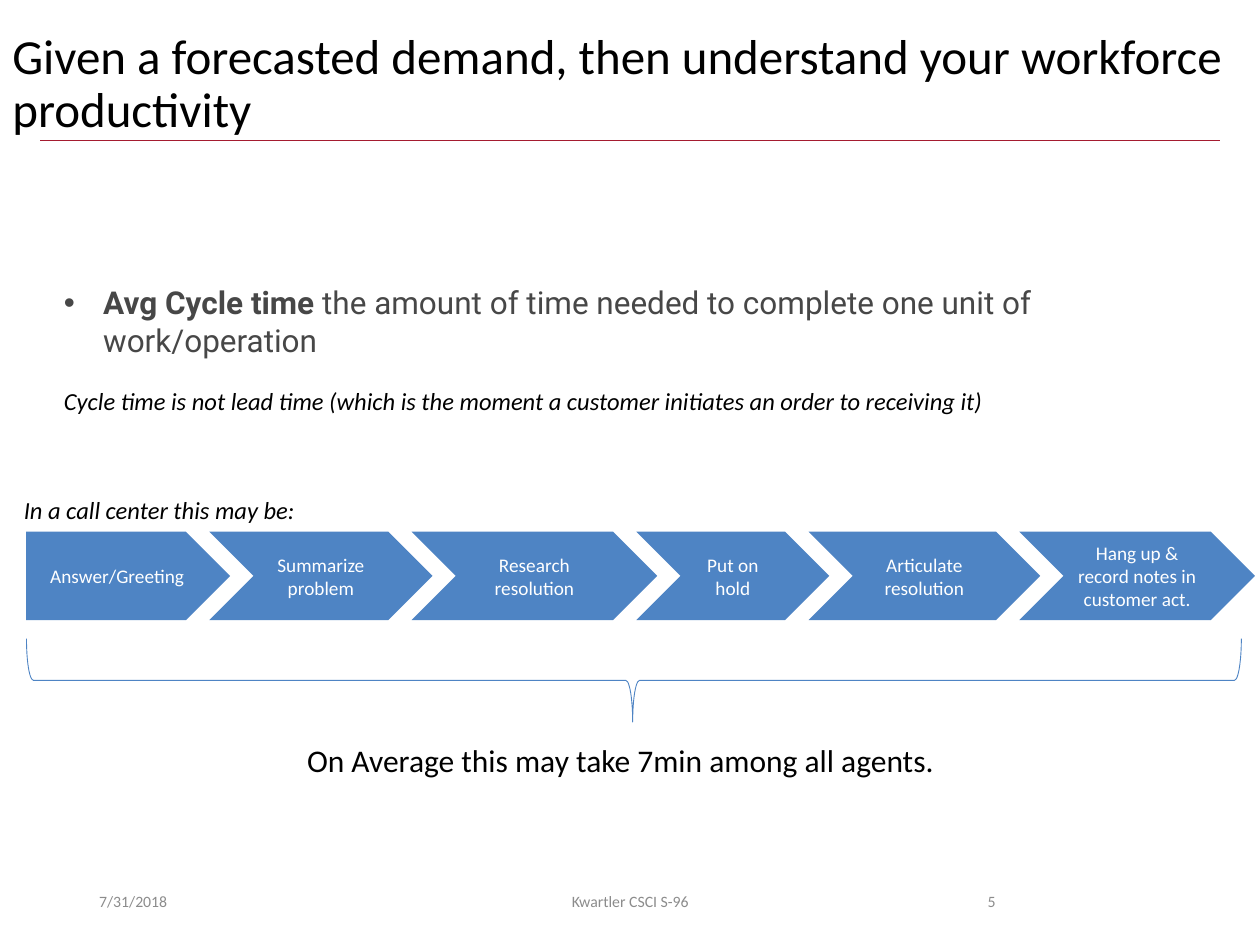
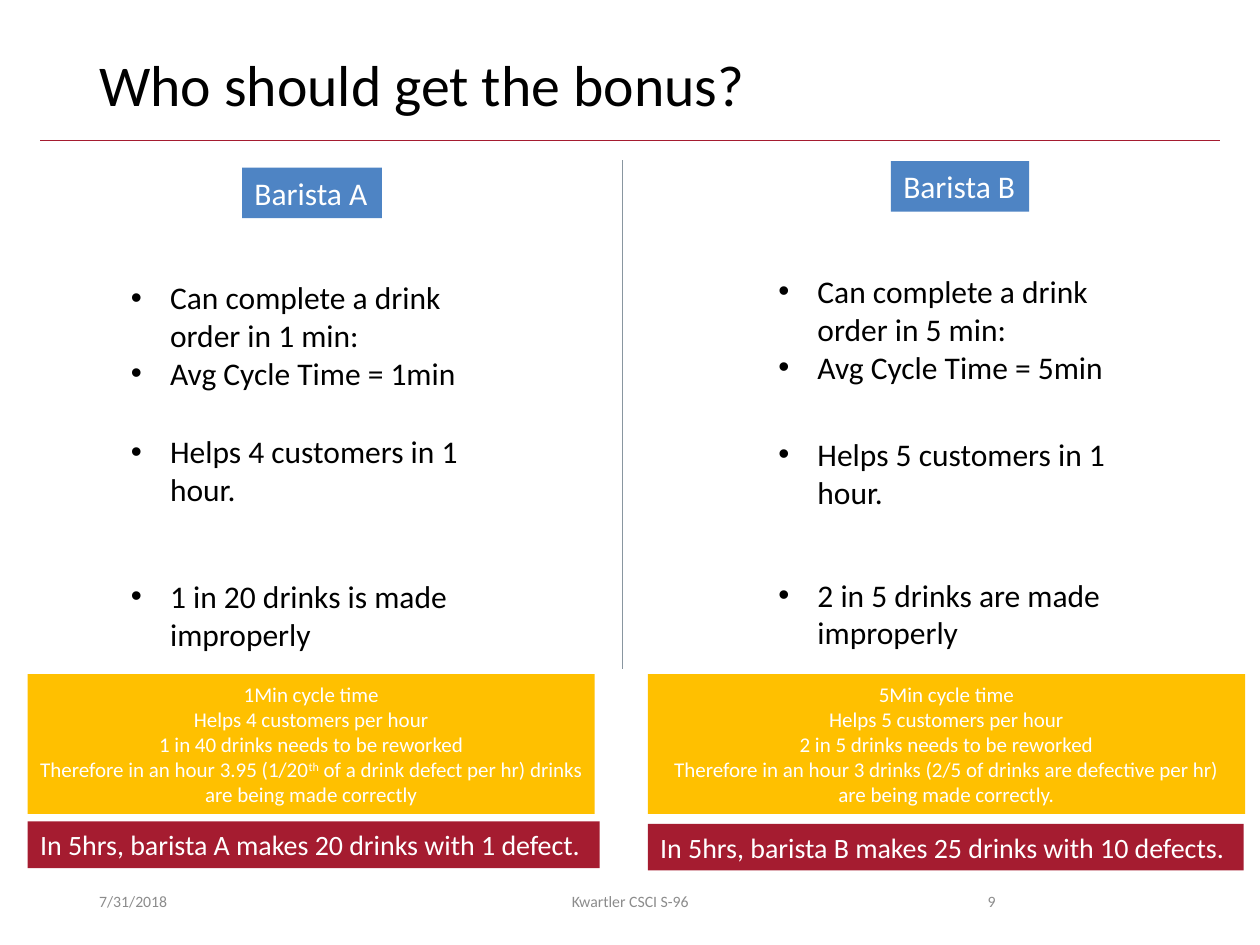
from lxml.etree import SubElement
from pptx import Presentation
from pptx.dml.color import RGBColor
from pptx.enum.shapes import MSO_CONNECTOR as Link, MSO_SHAPE as Shape
from pptx.enum.text import MSO_ANCHOR as Anchor, PP_ALIGN as Align
from pptx.oxml.ns import qn
from pptx.util import Cm, Pt

BLACK = RGBColor(0x00, 0x00, 0x00)
WHITE = RGBColor(0xFF, 0xFF, 0xFF)
CHARCOAL = RGBColor(0x47, 0x47, 0x47)
FOOTER_GREY = RGBColor(0x8C, 0x8C, 0x8C)
DIVIDER_GREY = RGBColor(0x89, 0x96, 0xA0)
BLUE = RGBColor(0x4E, 0x84, 0xC4)
AMBER = RGBColor(0xFF, 0xC0, 0x00)
CRIMSON = RGBColor(0xA5, 0x1C, 0x30)

# All positions and sizes are in centimetres: left, top, width, height.
DATE, COURSE = "7/31/2018", "Kwartler CSCI S-96"
FOOTER_TOP, FOOTER_HEIGHT = 17.65, 1.02
HANGING = 0.79

CYCLE_TITLE = "Given a forecasted demand, then understand your workforce productivity"
DEFINITION = [("Avg Cycle time ", "bold"),
              ("the amount of time needed to complete one unit of work/operation", "")]
LEAD_TIME = ("Cycle time is not lead time (which is the moment a customer "
             "initiates an order to receiving it)")
CALL_INTRO = "In a call center this may be:"
CALL_AVERAGE = "On Average this may take 7min among all agents."
CALL_STEPS = [  # label, width
    ("Answer/Greeting", 4.11),
    ("Summarize problem", 4.5),
    ("Research resolution", 4.95),
    ("Put on hold", 3.89),
    ("Articulate resolution", 4.67),
    ("Hang up & record notes in customer act.", 4.75),
]
STEP_LEFT, STEP_TOP, STEP_HEIGHT, STEP_OVERLAP = 0.53, 10.72, 1.78, 0.42

BONUS_TITLE = "Who should get the bonus?"
BARISTAS = [
    {
        "name": ("Barista A", (4.88, 3.38, 2.82, 1.02)),
        "facts_left": 2.39,
        "facts": [  # top, height, bullets
            (5.49, 2.57, ["Can complete a drink order in 1 min:", "Avg Cycle Time = 1min"]),
            (8.59, 1.8, ["Helps 4 customers in 1 hour."]),
            (11.51, 1.8, ["1 in 20 drinks is made improperly"]),
        ],
        "reasoning": ([
            "1Min cycle time",
            "Helps 4 customers per hour",
            "1 in 40 drinks needs to be reworked",
            [("Therefore in an hour 3.95 (1/20", ""), ("th", "super"),
             (" of a drink defect per hr) drinks are being made correctly", "")],
        ], (0.56, 13.59, 11.43, 2.82)),
        "result": ("In 5hrs, barista A makes 20 drinks with 1 defect.",
                   (0.56, 16.56, 11.53, 0.94)),
    },
    {
        "name": ("Barista B", (17.96, 3.25, 2.79, 1.02)),
        "facts_left": 15.44,
        "facts": [
            (5.36, 2.57, ["Can complete a drink order in 5 min:", "Avg Cycle Time = 5min"]),
            (8.64, 1.8, ["Helps 5 customers in 1 hour."]),
            (11.48, 1.8, ["2 in 5 drinks are made improperly"]),
        ],
        "reasoning": ([
            "5Min cycle time",
            "Helps 5 customers per hour",
            "2 in 5 drinks needs to be reworked",
            "Therefore in an hour 3 drinks (2/5 of drinks are defective per hr) "
            "are being made correctly.",
        ], (13.06, 13.59, 12.04, 2.82)),
        "result": ("In 5hrs, barista B makes 25 drinks with 10 defects.",
                   (13.06, 16.61, 12.01, 0.94)),
    },
]
FACTS_WIDTH = 7.8


def add_bullet(para):
    """Give a paragraph a round bullet and a hanging indent."""
    props = para._p.get_or_add_pPr()
    props.set("marL", str(Cm(HANGING)))
    props.set("indent", str(-Cm(HANGING)))
    SubElement(props, qn("a:buFont"), typeface="Arial")
    SubElement(props, qn("a:buChar"), char="•")


def write(box, lines, size, color=BLACK, font="Calibri", align=Align.LEFT,
          anchor=Anchor.TOP, italic=False, bullets=False, wrap=True, spacing=None):
    """Fill a shape with paragraphs; a line is a string or a list of (text, style)."""
    frame = box.text_frame
    frame.word_wrap = wrap
    frame.vertical_anchor = anchor
    for index, line in enumerate(lines):
        para = frame.add_paragraph() if index else frame.paragraphs[0]
        para.alignment = align
        if spacing:
            para.line_spacing = spacing
        if bullets:
            add_bullet(para)
        para.font.name = font
        para.font.size = Pt(size)
        para.font.color.rgb = color
        para.font.italic = italic
        for text, style in [(line, "")] if isinstance(line, str) else line:
            span = para.add_run()
            span.text = text
            if style == "bold":
                span.font.bold = True
            elif style == "super":
                span._r.get_or_add_rPr().set("baseline", "30000")


def add_text(page, place, lines, size, **style):
    """Add a text box."""
    box = page.shapes.add_textbox(*map(Cm, place))
    write(box, lines, size, **style)


def add_filled(page, kind, place, fill, lines, size, **style):
    """Add a borderless filled shape with white text."""
    box = page.shapes.add_shape(kind, *map(Cm, place))
    box.shadow.inherit = False
    box.fill.solid()
    box.fill.fore_color.rgb = fill
    box.line.fill.background()
    write(box, lines, size, color=WHITE, **style)


def add_line(page, ends, color):
    """Add a thin straight line from (x, y) to (x, y)."""
    line = page.shapes.add_connector(Link.STRAIGHT, *map(Cm, ends))
    line.line.color.rgb = color
    line.line.width = Pt(0.5)
    SubElement(line._element.spPr, qn("a:effectLst"))


def add_page(deck, title, place, size, number):
    """Add a blank slide with the shared rule, title and footer."""
    page = deck.slides.add_slide(deck.slide_layouts[6])
    add_line(page, (0.81, 2.84, 24.59, 2.84), CRIMSON)
    add_text(page, place, [title], size, spacing=0.9)
    for text, left, width, align in [(DATE, 1.75, 5.72, Align.LEFT),
                                     (COURSE, 8.41, 8.59, Align.CENTER),
                                     (number, 17.93, 2.39, Align.RIGHT)]:
        add_text(page, (left, FOOTER_TOP, width, FOOTER_HEIGHT), [text], 9,
                 color=FOOTER_GREY, align=align, anchor=Anchor.MIDDLE)
    return page


def build_cycle_time(deck):
    """Build the slide that defines cycle time with a call center flow."""
    page = add_page(deck, CYCLE_TITLE, (0, 0.53, 25.4, 1.65), 28, "5")
    add_text(page, (1.04, 5.59, 22.25, 1.8), [DEFINITION], 18,
             color=CHARCOAL, font="Roboto", bullets=True)
    add_text(page, (0.23, 9.86, 8, 0.86), [CALL_INTRO], 14, italic=True)
    add_text(page, (1.04, 7.65, 19.38, 0.86), [LEAD_TIME], 14, italic=True, wrap=False)

    left = STEP_LEFT
    for index, (label, width) in enumerate(CALL_STEPS):
        kind = Shape.CHEVRON if index else Shape.PENTAGON
        add_filled(page, kind, (left, STEP_TOP, width, STEP_HEIGHT), BLUE, [label], 11,
                   align=Align.CENTER, anchor=Anchor.MIDDLE)
        left += width - STEP_OVERLAP

    brace = page.shapes.add_shape(Shape.LEFT_BRACE, *map(Cm, (11.94, 1.47, 1.68, 24.49)))
    brace.rotation = 270
    brace.adjustments[0], brace.adjustments[1] = 0.083, 0.499
    brace.shadow.inherit = False
    brace.fill.background()
    brace.line.color.rgb = BLUE
    brace.line.width = Pt(0.5)
    add_text(page, (5.94, 14.81, 13.31, 1.02), [CALL_AVERAGE], 18, wrap=False)


def build_bonus(deck):
    """Build the slide that compares the two baristas."""
    page = add_page(deck, BONUS_TITLE, (1.75, 1.02, 21.9, 1.65), 33, "9")
    add_line(page, (12.55, 3.23, 12.55, 13.49), DIVIDER_GREY)
    for barista in BARISTAS:
        name, place = barista["name"]
        add_filled(page, Shape.RECTANGLE, place, BLUE, [name], 18, wrap=False)
        for top, height, bullets in barista["facts"]:
            add_text(page, (barista["facts_left"], top, FACTS_WIDTH, height),
                     bullets, 18, bullets=True)
        lines, place = barista["reasoning"]
        add_filled(page, Shape.RECTANGLE, place, AMBER, lines, 12,
                   align=Align.CENTER, anchor=Anchor.MIDDLE)
        result, place = barista["result"]
        add_filled(page, Shape.RECTANGLE, place, CRIMSON, [result], 16, wrap=False)


deck = Presentation()
deck.slide_width, deck.slide_height = Cm(25.4), Cm(19.05)
build_cycle_time(deck)
build_bonus(deck)
deck.save("out.pptx")
